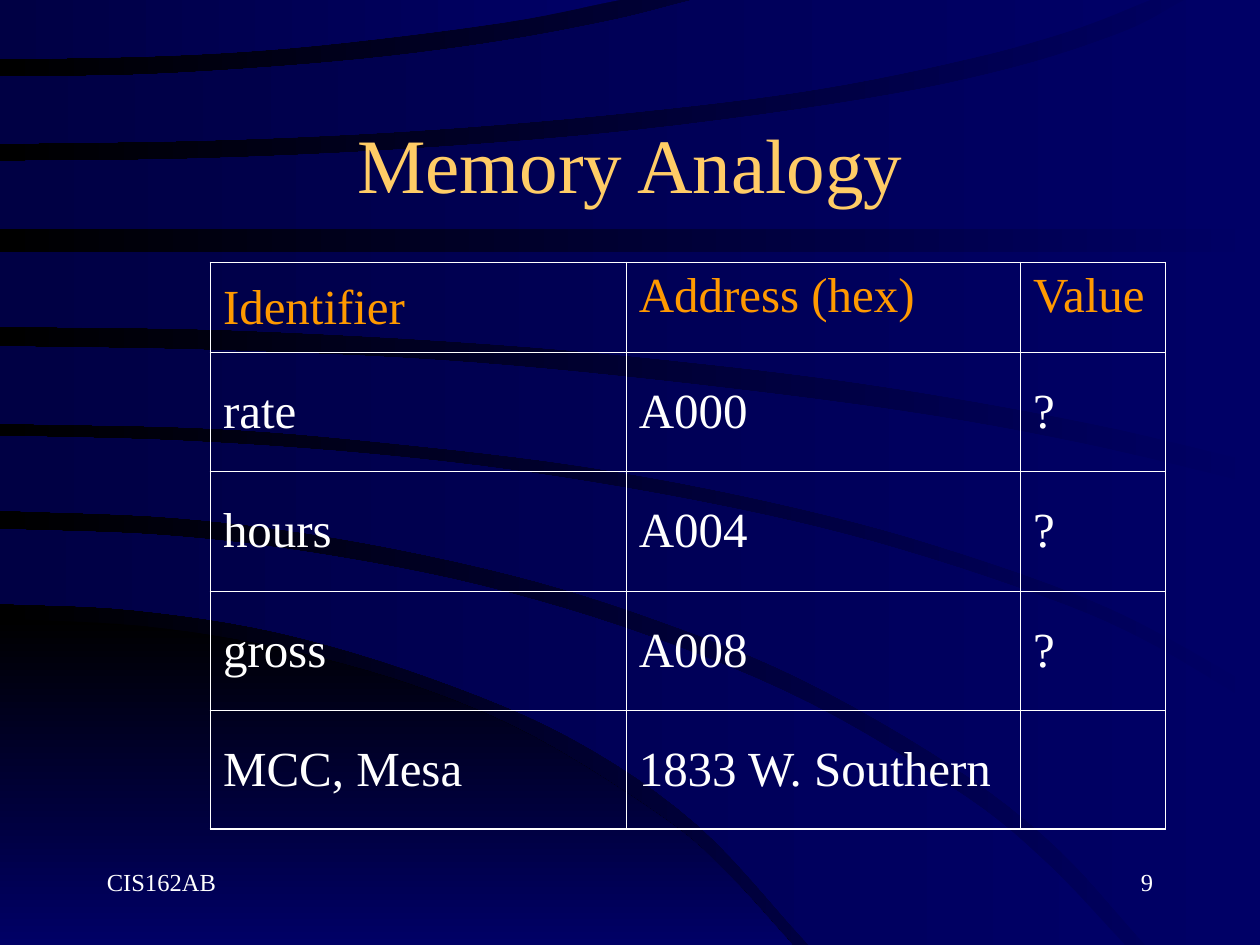
from lxml.etree import SubElement
from pptx import Presentation
from pptx.dml.color import RGBColor
from pptx.enum.text import MSO_ANCHOR as Anchor, PP_ALIGN as Align
from pptx.oxml import parse_xml
from pptx.oxml.ns import nsdecls, qn
from pptx.util import Inches, Pt

COLORS = {"navy": "000066", "deep": "000044", "black": "000000",
          "gold": "FFCC66", "orange": "FF9900", "white": "FFFFFF"}
FONT = "Times New Roman"
COLUMNS, ROWS = 10, 7.5
THIN, THICK = 0.45, 1.08

MEMORY = [["Identifier", "Address (hex)", "Value"],
          ["rate", "A000", "?"],
          ["hours", "A004", "?"],
          ["gross", "A008", "?"],
          ["MCC, Mesa", "1833 W. Southern", ""]]

HILL = ([(0, 4.91), (1.13, 4.97), (2.19, 5.14), (3.28, 5.44), (4.26, 5.86),
         (5.29, 6.51), (5.78, 6.94), (6.29, 7.5)], [(0, 7.5)], [])

BANDS = [
    ([(0, 4.2), (1.3, 4.25), (2.49, 4.39), (3.82, 4.65), (5.15, 5.05), (6.44, 5.59),
      (7.66, 6.32), (8.33, 6.87), (8.93, 7.5)], [],
     [(0, 4.79), (1.05, 4.84), (2.21, 5.02), (3.42, 5.38), (4.54, 5.86), (5.53, 6.54),
      (6.42, 7.5)]),
    ([(0, 3.46), (1.44, 3.5), (2.89, 3.6), (4.26, 3.76), (5.7, 4.01), (6.93, 4.3),
      (8.18, 4.7), (9.04, 5.06), (10, 5.62)], [(10, 7.5)],
     [(0, 4.05), (1.4, 4.11), (2.67, 4.27), (4.05, 4.56), (5.21, 4.92), (6.36, 5.39),
      (7.56, 6.08), (8.38, 6.72), (9.09, 7.5)]),
    ([(0, 2.75), (1.68, 2.78), (3.49, 2.86), (5.23, 3.02), (7.14, 3.26), (8.59, 3.52),
      (10, 3.85)], [],
     [(0, 3.36), (1.67, 3.4), (3.03, 3.51), (4.62, 3.7), (6.1, 3.98), (7.43, 4.33),
      (8.81, 4.83), (10, 5.48)]),
    ([(0, 2), (10, 2)], [],
     [(0, 2.59), (1.86, 2.62), (3.89, 2.73), (5.52, 2.88), (7.02, 3.07), (8.65, 3.36),
      (10, 3.68)]),
    ([(0, 1.28), (1.57, 1.26), (3.29, 1.18), (5.08, 1.03), (6.84, 0.79), (8.03, 0.54),
      (8.92, 0.25), (9.4, 0)], [(10, 0), (10, 1.82)], [(0, 1.82)]),
    ([(0, 0.61), (1.21, 0.59), (2.67, 0.49), (3.83, 0.35), (4.82, 0.17), (5.5, 0)], [],
     [(0, 1.14), (1.77, 1.11), (3.41, 1.03), (5.04, 0.89), (6.48, 0.71), (7.72, 0.46),
      (8.54, 0.23), (9.13, 0)]),
    ([(0, 0), (4.92, 0)], [],
     [(0, 0.47), (1.37, 0.44), (2.53, 0.36), (3.99, 0.18), (4.92, 0)]),
]


def smooth(knots, steps=6):
    """Return points on a Catmull-Rom curve through the knots."""
    if len(knots) < 3:
        return knots

    def beyond(end, inner):
        return tuple(2 * a - b for a, b in zip(end, inner))

    run = [beyond(knots[0], knots[1]), *knots, beyond(knots[-1], knots[-2])]
    points = []
    for quad in zip(run, run[1:], run[2:], run[3:]):
        for t in (step / steps for step in range(steps)):
            points.append(tuple(
                b + t * (c - a) / 2 + t * t * (2 * a - 5 * b + 4 * c - d) / 2
                + t ** 3 * (3 * b - a - 3 * c + d) / 2
                for a, b, c, d in zip(*quad)))
    return points + [knots[-1]]


def paint_gradient(fill, start, end, angle):
    """Fill with a two-colour linear gradient."""
    fill.gradient()
    fill.gradient_angle = angle
    for stop, color in zip(fill.gradient_stops, (start, end)):
        stop.color.rgb = RGBColor.from_string(COLORS[color])


def write(frame, text, *, size, color="white", align=Align.LEFT, anchor=Anchor.TOP, before=0):
    """Put formatted text into a text frame."""
    frame.word_wrap = True
    frame.vertical_anchor = anchor
    paragraph = frame.paragraphs[0]
    paragraph.alignment = align
    paragraph.space_before = Pt(before)
    run = paragraph.add_run()
    run.text = text
    run.font.name, run.font.size = FONT, Pt(size)
    run.font.color.rgb = RGBColor.from_string(COLORS[color])


def add_band(slide, box, band, start, end, angle):
    """Draw one curved band, scaled from the grid to the box."""
    left, top, width, height = box
    upper, corners, lower = band
    outline = [(round(left + x / COLUMNS * width), round(top + y / ROWS * height))
               for x, y in smooth(upper) + corners + smooth(lower)[::-1]]
    builder = slide.shapes.build_freeform(*outline[0])
    builder.add_line_segments(outline[1:], close=True)
    shape = builder.convert_to_shape()
    shape.shadow.inherit = False
    shape.line.fill.background()
    paint_gradient(shape.fill, start, end, angle)


def add_backdrop(slide, box):
    """Paint the background and its sweeping bands."""
    paint_gradient(slide.background.fill, "navy", "black", 180)
    add_band(slide, box, HILL, "black", "navy", 270)
    for band in BANDS:
        add_band(slide, box, band, "navy", "deep", 180)


def add_title(slide, box, text):
    """Place the title above the backdrop."""
    title = slide.shapes.title
    title.left, title.top, title.width, title.height = box
    title.element.getparent().append(title.element)
    write(title.text_frame, text, size=44, color="gold", align=Align.CENTER,
          anchor=Anchor.MIDDLE)


def set_borders(cell, widths):
    """Give a cell white borders of the stated widths in points."""
    cell.fill.background()
    properties = cell._tc.tcPr
    for index, (side, width) in enumerate(widths.items()):
        line = parse_xml(f'<a:ln{side} {nsdecls("a")} w="{Pt(width)}"/>')
        solid = SubElement(line, qn("a:solidFill"))
        SubElement(solid, qn("a:srgbClr"), val=COLORS["white"])
        properties.insert(index, line)


def add_memory_table(slide, box, rows, column_shares, header_share):
    """Build the memory table with a shorter header row."""
    left, top, width, height = box
    last_row, last_column = len(rows) - 1, len(column_shares) - 1
    table = slide.shapes.add_table(len(rows), len(column_shares), *box).table
    table.first_row = table.horz_banding = False
    for column, share in zip(table.columns, column_shares):
        column.width = round(width * share / sum(column_shares))
    for r, words in enumerate(rows):
        share = (1 - header_share) / last_row if r else header_share
        table.rows[r].height = round(height * share)
        for c, word in enumerate(words):
            cell = table.cell(r, c)
            set_borders(cell, {"L": THIN if c else THICK,
                               "R": THICK if c == last_column else THIN,
                               "T": THIN,
                               "B": THICK if r == last_row else THIN})
            anchor = Anchor.MIDDLE if r or not c else Anchor.TOP
            cell.vertical_anchor = anchor
            if word:
                write(cell.text_frame, word, size=28, before=7, anchor=anchor,
                      color="white" if r else "orange")


def add_footer(slide, box, course, number):
    """Put the course at the left and the page number at the right."""
    left, top, width, height = box
    part = round(width * 0.245)
    for text, x, align in ((course, left, Align.LEFT),
                           (number, left + width - part, Align.RIGHT)):
        note = slide.shapes.add_textbox(x, top, part, height)
        write(note.text_frame, text, size=14, align=align)


def main():
    """Build and save the slide."""
    deck = Presentation()
    deck.slide_width, deck.slide_height = Inches(COLUMNS), Inches(ROWS)
    slide = deck.slides.add_slide(deck.slide_layouts[5])

    def grid(*cells):
        return [Inches(cell) for cell in cells]

    add_backdrop(slide, grid(0, 0, COLUMNS, ROWS))
    add_title(slide, grid(0.75, 0.67, 8.5, 1.25), "Memory Analogy")
    add_memory_table(slide, grid(1.67, 2.08, 7.58, 4.5), MEMORY, (3.3, 3.13, 1.15), 0.16)
    add_footer(slide, grid(0.75, 6.83, 8.5, 0.5), "CIS162AB", "9")
    deck.save("out.pptx")


if __name__ == "__main__":
    main()
